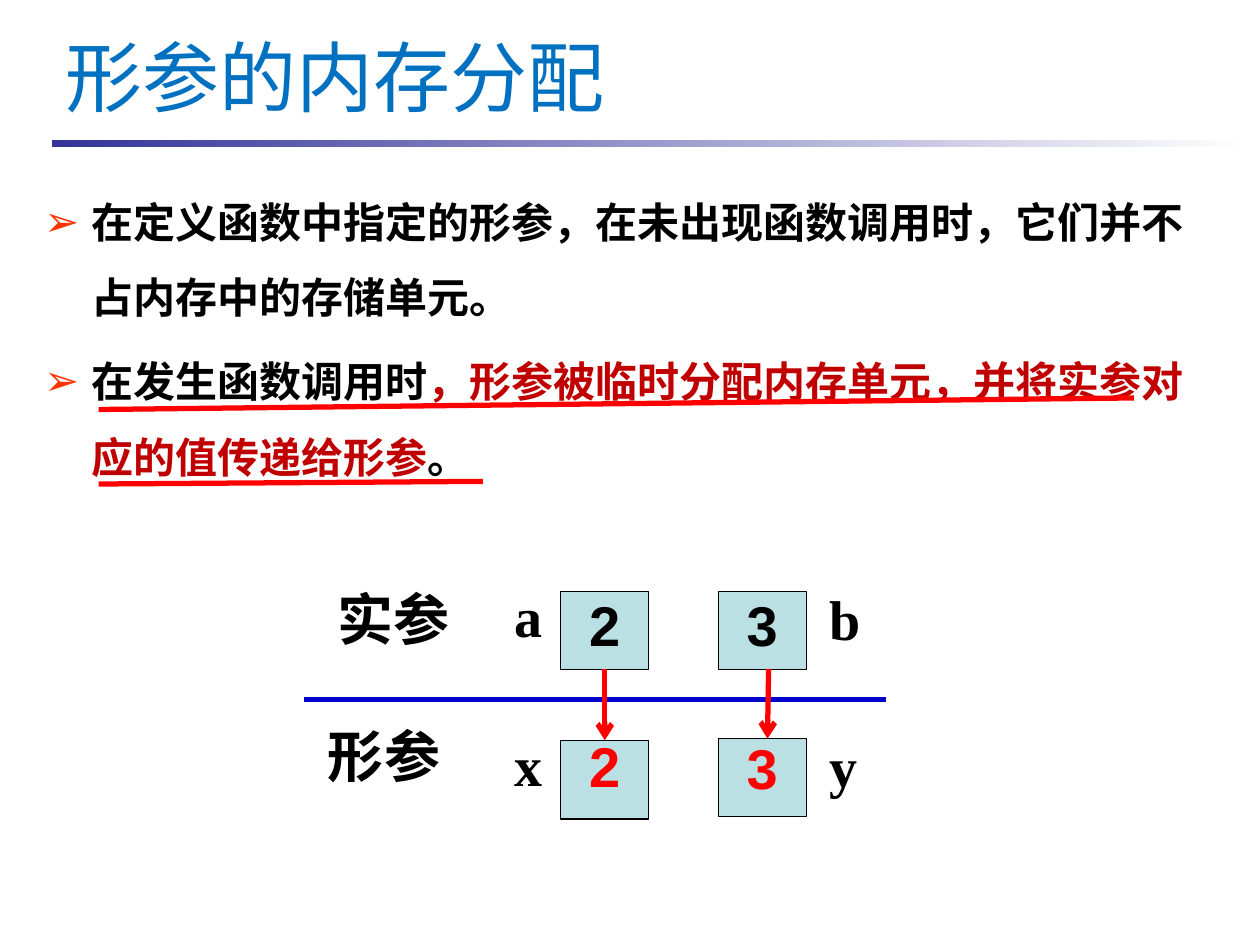
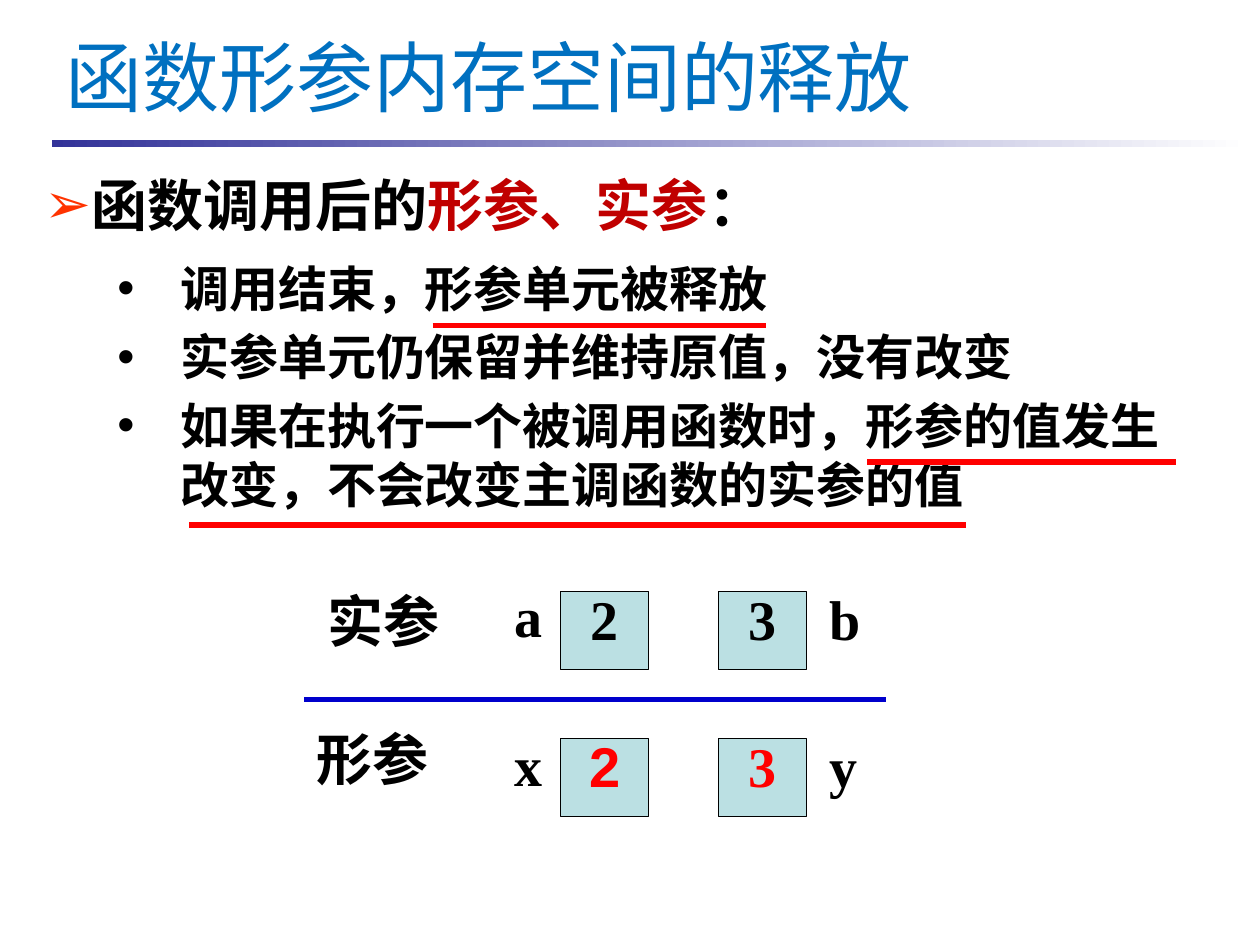
from typing import NamedTuple, Optional

from lxml.etree import SubElement
from pptx import Presentation
from pptx.dml.color import RGBColor
from pptx.enum.shapes import MSO_CONNECTOR, MSO_SHAPE
from pptx.enum.text import MSO_ANCHOR, MSO_AUTO_SIZE, PP_ALIGN
from pptx.oxml.ns import qn
from pptx.util import Inches, Pt

WIDTH, HEIGHT = Inches(10), Inches(7.5)
COL, ROW = WIDTH / 120, HEIGHT / 90  # grid of 120 columns by 90 rows

HUES = {
    "title": "0070C0", "ink": "000000", "stress": "C00000", "red": "FF0000",
    "rule": "0000CC", "cell": "BBE0E3", "band": "333399", "paper": "FFFFFF",
    "arrow": "FF3300",
}
HAN, SERIF, SANS = "Noto Sans CJK SC", "Times New Roman", "Arial"


class Box(NamedTuple):
    x: float
    y: float
    w: float
    h: float


class Line(NamedTuple):
    x1: float
    y1: float
    x2: float
    y2: float
    hue: str = "red"
    head: bool = False


class Cell(NamedTuple):
    x: float
    y: float
    text: str = ""
    font: str = SANS
    anchor: MSO_ANCHOR = MSO_ANCHOR.TOP


class Label(NamedTuple):
    text: str
    box: Box
    font: str = SERIF
    align: PP_ALIGN = PP_ALIGN.LEFT
    anchor: MSO_ANCHOR = MSO_ANCHOR.TOP


class Digit(NamedTuple):
    text: str
    x: float
    y: float
    font: str = SANS


def tint(name: str) -> RGBColor:
    return RGBColor.from_string(HUES[name])


def place(box: Box) -> tuple:
    return (round(box.x * COL), round(box.y * ROW),
            round(box.w * COL), round(box.h * ROW))


def move(shape, box: Box) -> None:
    shape.left, shape.top, shape.width, shape.height = place(box)


def mark(para, sign: str, hue: str, indent: float) -> None:
    """Give a paragraph a bullet and a hanging indent."""
    props = para._p.get_or_add_pPr()
    props.set("marL", str(round(indent * COL)))
    props.set("indent", str(-round(indent * COL)))
    color = SubElement(props, qn("a:buClr"))
    SubElement(color, qn("a:srgbClr")).set("val", HUES[hue])
    SubElement(props, qn("a:buFont")).set("typeface", SANS)
    SubElement(props, qn("a:buChar")).set("char", sign)


def write(frame, paras: list, *, size: int = 32, font: str = HAN,
          bold: bool = True, lead: float = 0.8, before: float = 0.2,
          align: PP_ALIGN = PP_ALIGN.LEFT, anchor: MSO_ANCHOR = MSO_ANCHOR.TOP,
          wrap: bool = True, sign: str = "", sign_hue: str = "ink",
          indent: float = 0) -> None:
    """Fill a frame; each paragraph is a list of (text, hue) runs."""
    frame.auto_size = MSO_AUTO_SIZE.NONE
    frame.word_wrap, frame.vertical_anchor = wrap, anchor
    for i, runs in enumerate(paras):
        para = frame.add_paragraph() if i else frame.paragraphs[0]
        para.alignment, para.line_spacing = align, lead
        para.space_before = Pt(size * before)
        if sign:
            mark(para, sign, sign_hue, indent)
        for text, hue in runs:
            run = para.add_run()
            run.text = text
            run.font.size, run.font.bold, run.font.name = Pt(size), bold, font
            run.font.color.rgb = tint(hue)
            SubElement(run._r.get_or_add_rPr(), qn("a:ea")).set("typeface", HAN)


def draw_band(slide) -> None:
    band = slide.shapes.add_shape(MSO_SHAPE.RECTANGLE,
                                  *place(Box(4.92, 13.32, 114.12, 0.72)))
    band.shadow.inherit = False
    band.line.fill.background()
    band.fill.gradient()
    band.fill.gradient_angle = 0
    for stop, hue, pos in zip(band.fill.gradient_stops, ("band", "paper"), (0, 1)):
        stop.color.rgb, stop.position = tint(hue), pos


def draw_line(slide, line: Line) -> None:
    link = slide.shapes.add_connector(
        MSO_CONNECTOR.STRAIGHT, round(line.x1 * COL), round(line.y1 * ROW),
        round(line.x2 * COL), round(line.y2 * ROW))
    link.line.color.rgb, link.line.width = tint(line.hue), Pt(3)
    if line.head:
        SubElement(link.line._get_or_add_ln(), qn("a:tailEnd")).set("type", "arrow")
    SubElement(link._element.spPr, qn("a:effectLst"))


def add_block(slide, box: Box):
    block = slide.shapes.add_shape(MSO_SHAPE.FLOWCHART_PROCESS, *place(box))
    block.shadow.inherit = False
    return block


def draw_cell(slide, cell: Cell) -> None:
    block = add_block(slide, Box(cell.x, cell.y, 8.4, 7.44))
    block.fill.solid()
    block.fill.fore_color.rgb = tint("cell")
    block.line.color.rgb, block.line.width = tint("ink"), Pt(0.75)
    if cell.text:
        write(block.text_frame, [[(cell.text, "ink")]], font=cell.font,
              align=PP_ALIGN.CENTER, anchor=cell.anchor, wrap=False)


def draw_digit(slide, digit: Digit) -> None:
    block = add_block(slide, Box(digit.x, digit.y, 6.6, 6.6))
    block.fill.background()
    block.line.fill.background()
    write(block.text_frame, [[(digit.text, "red")]], font=digit.font,
          align=PP_ALIGN.CENTER, wrap=False)


def draw_label(slide, label: Label) -> None:
    note = slide.shapes.add_textbox(*place(label.box))
    write(note.text_frame, [[(label.text, "ink")]], font=label.font,
          align=label.align, anchor=label.anchor)


# Memory diagram: columns of the cells and rows shared by both slides
LEFT, RIGHT, TOP, LOW = 53.4, 68.4, 56.3, 70.35
NAMES = [Label(text, Box(x, y, 6.6, 6.4)) for text, x, y in
         (("a", 47.8, 56), ("b", 77.8, TOP), ("x", 47.8, 70.2), ("y", 77.8, LOW))]
RULE = Line(29, 66.6, 84.4, 66.6, "rule")
PAINT = {Cell: draw_cell, Digit: draw_digit, Label: draw_label, Line: draw_line}


def draw(slide, parts: list) -> None:
    for part in parts:
        PAINT[type(part)](slide, part)


def start(deck, title: str, box: Box, paras: list, **style):
    """Add a slide with its title, band and main list."""
    slide = deck.slides.add_slide(deck.slide_layouts[1])
    head, body = slide.placeholders
    move(head, Box(5, 4, 112, 8))
    write(head.text_frame, [[(title, "title")]], size=44, font=SERIF,
          bold=False, before=0, anchor=MSO_ANCHOR.MIDDLE)
    move(body, box)
    write(body.text_frame, paras, sign="➢", sign_hue="arrow", indent=4.5, **style)
    draw_band(slide)
    return slide


def build_alloc(deck) -> None:
    slide = start(deck, "形参的内存分配", Box(3, 15.7, 111, 15.2), [
        [("在定义函数中指定的形参，在未出现函数调用时，它们并不占内存中的存储单元。", "ink")],
        [("在发生函数调用时", "ink"),
         ("，形参被临时分配内存单元，并将实参对应的值传递给形参", "stress"),
         ("。", "ink")],
    ], size=24, lead=1.5)
    mid, right = MSO_ANCHOR.MIDDLE, PP_ALIGN.RIGHT
    draw(slide, [
        Cell(LEFT, TOP, "2", anchor=mid), Cell(RIGHT, TOP, "3", anchor=mid),
        Cell(LEFT, 70.55), Cell(RIGHT, LOW), *NAMES,
        Digit("2", 54.3, LOW), Digit("3", 69.3, 70.55),
        # Underlines and divider
        Line(9.4, 39, 108, 37.9), Line(9.4, 46.1, 46, 45.85), RULE,
        Label("实参", Box(29, TOP, 15, 6.4), HAN, right),
        Label("形参", Box(28.1, 69.4, 15, 6.4), HAN, right),
        # Values passed down
        Line(57.6, 63.7, 57.6, 70.5, head=True),
        Line(73.2, 63.7, 73.1, LOW, head=True),
    ])


def build_free(deck) -> None:
    slide = start(deck, "函数形参内存空间的释放", Box(3, 15.6, 104, 62.3), [
        [("函数调用后的", "ink"), ("形参、实参", "stress"), ("：", "ink")],
    ], lead=1.0)
    mid = MSO_ANCHOR.MIDDLE
    draw(slide, [
        Cell(LEFT, TOP, "2", SERIF), Cell(RIGHT, TOP, "3", SERIF),
        Cell(LEFT, LOW), Cell(RIGHT, LOW), *NAMES, RULE,
        Digit("2", 54.3, LOW), Digit("3", 69.3, LOW, SERIF),
        Label("实参", Box(30, 56.5, 15, 6.4), HAN, anchor=mid),
        Label("形参", Box(29, 69.6, 15, 6.4), HAN, anchor=mid),
    ])
    # Detail points with their underlines
    points = slide.shapes.add_textbox(*place(Box(10, 24, 103, 30)))
    write(points.text_frame, [[(text, "ink")] for text in (
        "调用结束，形参单元被释放",
        "实参单元仍保留并维持原值，没有改变",
        "如果在执行一个被调用函数时，形参的值发生改变，不会改变主调函数的实参的值",
    )], size=28, lead=1.0, sign="•", indent=6)
    draw(slide, [Line(82.6, 44, 112, 44), Line(18, 50, 92, 50),
                 Line(41.2, 31, 73, 31)])


def main() -> None:
    deck = Presentation()
    deck.slide_width, deck.slide_height = WIDTH, HEIGHT
    build_alloc(deck)
    build_free(deck)
    deck.save("out.pptx")


if __name__ == "__main__":
    main()
